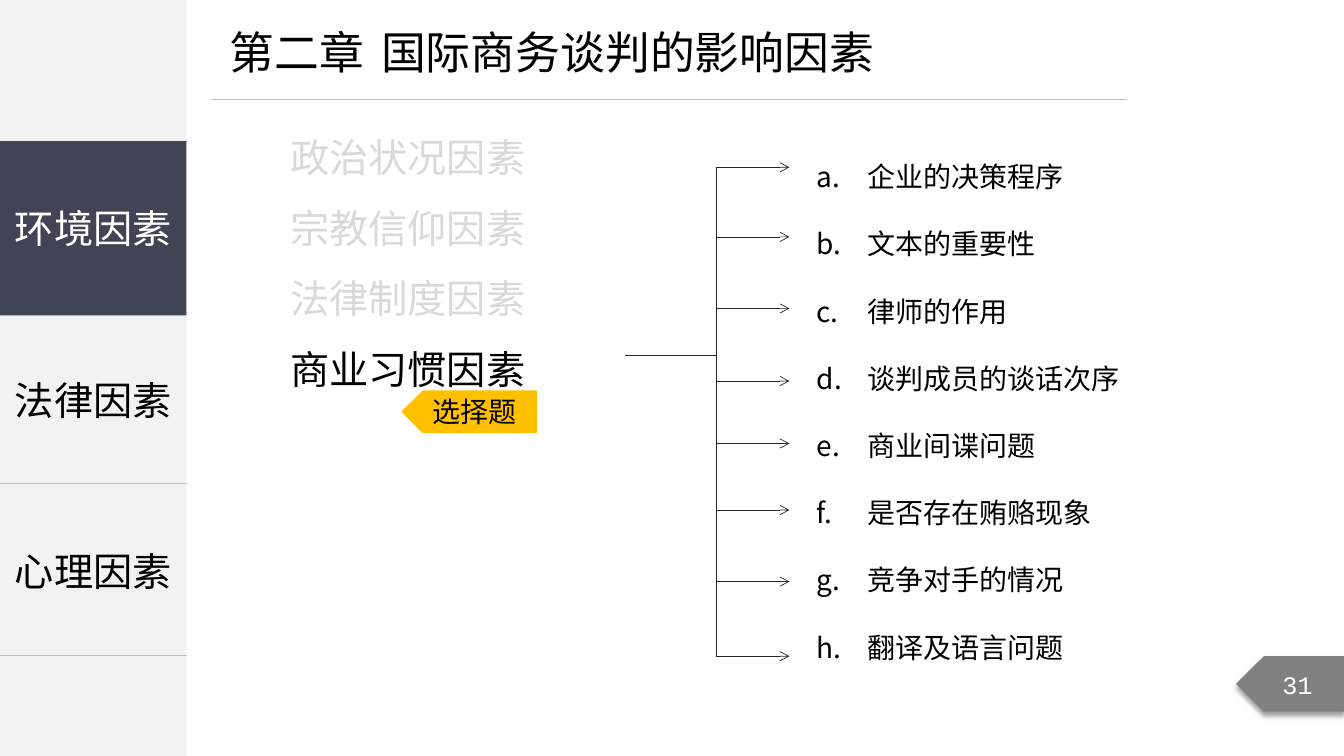
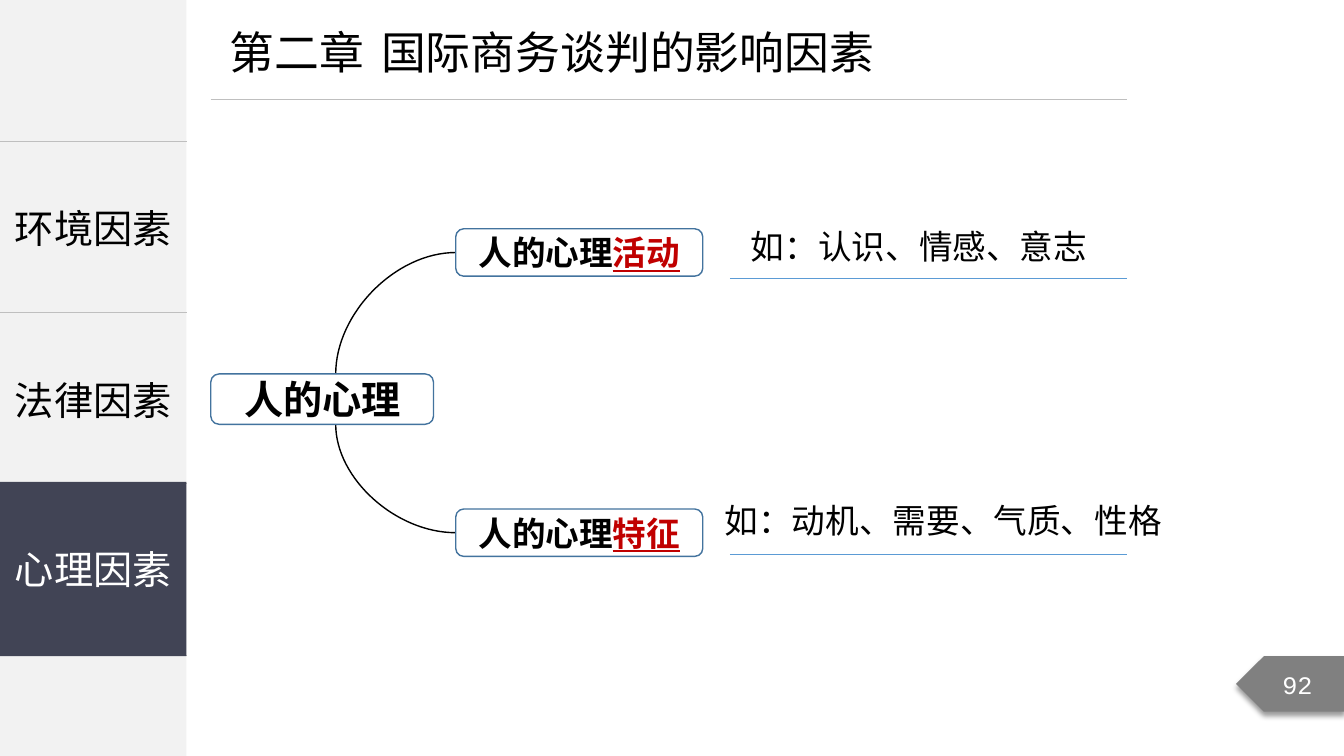
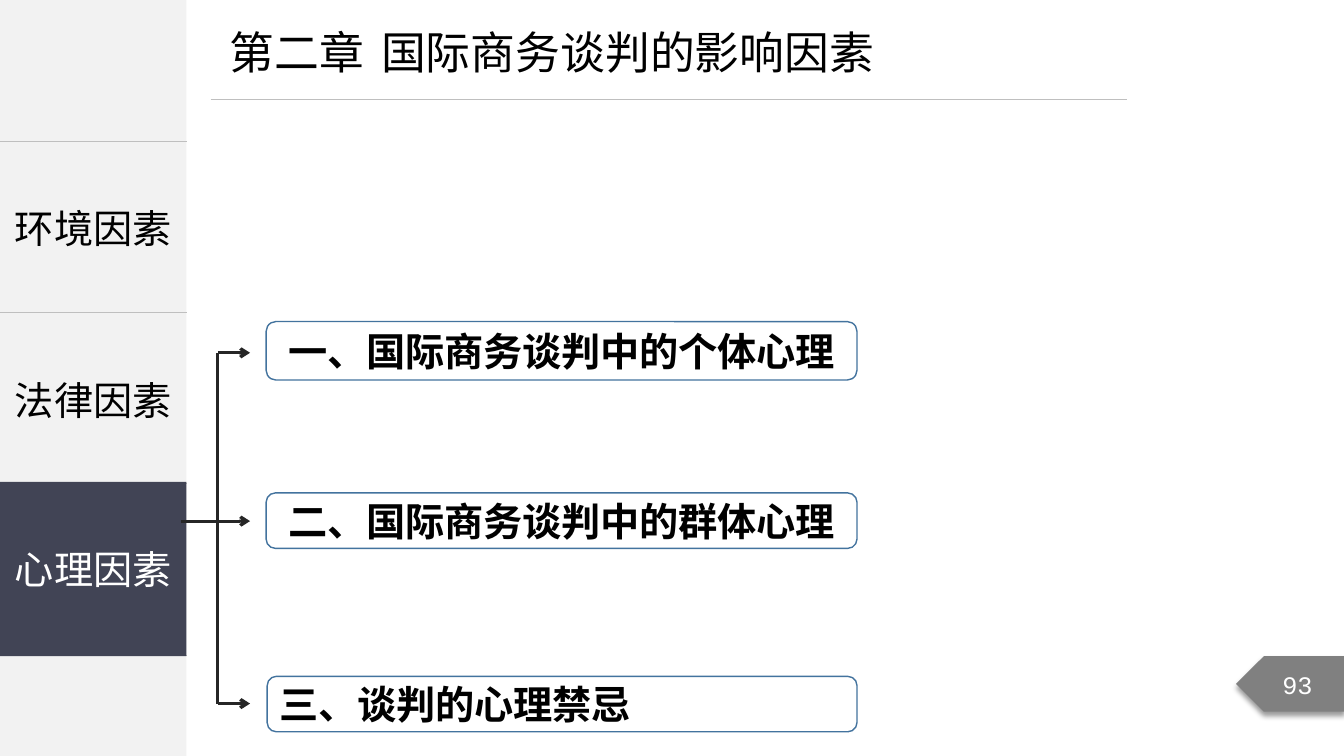
from lxml import etree
from pptx import Presentation
from pptx.dml.color import RGBColor
from pptx.enum.shapes import MSO_CONNECTOR, MSO_SHAPE
from pptx.enum.text import MSO_ANCHOR, MSO_AUTO_SIZE, PP_ALIGN
from pptx.oxml.ns import qn
from pptx.util import Inches, Pt

RECT, ROUND, PLATE = MSO_SHAPE.RECTANGLE, MSO_SHAPE.ROUNDED_RECTANGLE, MSO_SHAPE.PENTAGON
STRAIGHT, CURVE = MSO_CONNECTOR.STRAIGHT, MSO_CONNECTOR.CURVE
LEFT, CENTER = PP_ALIGN.LEFT, PP_ALIGN.CENTER
TOP, MIDDLE = MSO_ANCHOR.TOP, MSO_ANCHOR.MIDDLE

# Shared look
COLORS = {
    "black": "000000", "white": "FFFFFF", "sidebar": "F2F2F2", "active": "414455",
    "rule": "BFBFBF", "muted": "D9D9D9", "badge": "808080", "tag": "FFC000",
    "bracket": "262626", "box": "43739E", "underline": "5B9BD5", "red": "C00000",
}
FONT, NUMBER_FONT = "Noto Sans CJK SC", "Courier New"
SIDE_W, MENU_TOP, MENU_ROW, ACTIVE_STEP, ACTIVE_H = 1.85, 1.4, 1.7, 1.69, 1.73

# Content
CHAPTER = "第二章\t国际商务谈判的影响因素"
MENU = ["环境因素", "法律因素", "心理因素"]
FACTORS = ["政治状况因素", "宗教信仰因素", "法律制度因素", "商业习惯因素"]
TAG = "选择题"
HABITS = [  # arrow height, text
    (1.66, "企业的决策程序"), (2.35, "文本的重要性"), (3.06, "律师的作用"),
    (3.78, "谈判成员的谈话次序"), (4.4, "商业间谍问题"), (5.06, "是否存在贿赂现象"),
    (5.77, "竞争对手的情况"), (6.51, "翻译及语言问题"),
]
MIND = "人的心理"
MIND_BRANCHES = [  # box top, root edge, key word, example, example left, top, width, rule height
    (2.27, 3.71, "活动", "如：认识、情感、意志", 7.35, 2.19, 3.82, 2.76),
    (5.05, 4.21, "特征", "如：动机、需要、气质、性格", 7.09, 4.91, 4.66, 5.5),
]
SECTIONS = [  # left, top, height, arrow height, alignment, text
    (2.64, 3.19, 0.58, 3.5, CENTER, "一、国际商务谈判中的个体心理"),
    (2.64, 4.89, 0.55, 5.17, CENTER, "二、国际商务谈判中的群体心理"),
    (2.65, 6.71, 0.55, 6.98, LEFT, "三、谈判的心理禁忌"),
]
SECTION_RIGHT = 8.5


def rgb(name):
    return RGBColor.from_string(COLORS[name])


def sub(parent, tag, **attrs):
    return etree.SubElement(parent, qn(tag), {k: str(v) for k, v in attrs.items()})


def write(tf, paras, size=28, color="black", font=FONT, bold=None, spc=None,
          align=LEFT, anchor=TOP, spacing=None, number=None, tab=None):
    """Each paragraph is a list of (text, overrides) runs or a plain string."""
    tf.word_wrap = True
    tf.auto_size = MSO_AUTO_SIZE.NONE
    tf.vertical_anchor = anchor
    for i, runs in enumerate(paras):
        p = tf.paragraphs[0] if i == 0 else tf.add_paragraph()
        pPr = p._p.get_or_add_pPr()
        indent = Inches(0.5) if number else 0
        pPr.set("marL", str(indent))
        pPr.set("indent", str(-indent))
        if number:
            sub(pPr, "a:buAutoNum", type=number)
        else:
            sub(pPr, "a:buNone")
        if tab:
            sub(sub(pPr, "a:tabLst"), "a:tab", pos=Inches(tab), algn="l")
        p.alignment = align
        p.space_before = Pt(0)
        if spacing:
            p.line_spacing = spacing
        for text, extra in [(runs, {})] if isinstance(runs, str) else runs:
            r = p.add_run()
            r.text = text
            r.font.size = Pt(size)
            r.font.bold = bold
            r.font.name = font
            r.font.color.rgb = rgb(extra.get("color", color))
            r.font.underline = extra.get("underline")
            rPr = r._r.get_or_add_rPr()
            sub(rPr, "a:ea", typeface=font)
            if spc is not None:
                rPr.set("spc", str(spc))


def place(sp, x, y, w, h):
    sp.left, sp.top, sp.width, sp.height = map(Inches, (x, y, w, h))


def add_shape(s, kind, x, y, w, h, fill=None, line=None, paras=(), **fmt):
    sp = s.shapes.add_shape(kind, *map(Inches, (x, y, w, h)))
    sp.shadow.inherit = False
    if fill:
        sp.fill.solid()
        sp.fill.fore_color.rgb = rgb(fill)
    else:
        sp.fill.background()
    if line:
        sp.line.color.rgb = rgb(line)
        sp.line.width = Pt(1)
    else:
        sp.line.fill.background()
    if paras:
        write(sp.text_frame, paras, **{"align": CENTER, "anchor": MIDDLE, **fmt})
    return sp


def add_plate(s, *box, **fmt):
    """Pentagon arrow that points left."""
    sp = add_shape(s, PLATE, *box, **fmt)
    sp._element.spPr.find(qn("a:xfrm")).set("flipH", "1")
    return sp


def add_line(s, x1, y1, x2, y2, color="bracket", width=0.5, arrow=False, kind=STRAIGHT):
    cxn = s.shapes.add_connector(kind, *map(Inches, (x1, y1, x2, y2)))
    cxn.line.color.rgb = rgb(color)
    cxn.line.width = Pt(width)
    spPr = cxn._element.spPr
    if kind == CURVE:
        spPr.find(qn("a:prstGeom")).set("prst", "curvedConnector2")
    if arrow:
        sub(spPr.find(qn("a:ln")), "a:tailEnd", type="arrow")
    sub(spPr, "a:effectLst")


def add_textbox(s, x, y, w, h, paras, **fmt):
    write(s.shapes.add_textbox(*map(Inches, (x, y, w, h))).text_frame, paras, **fmt)


def add_box(s, x, y, w, h, paras, **fmt):
    add_shape(s, ROUND, x, y, w, h, line="box", paras=paras, bold=True, spc=-10, **fmt)


def add_menu(s, active, labels):
    """Sidebar table with a dark block over the active row."""
    add_shape(s, RECT, 0, 0, SIDE_W, 7.5, fill="sidebar")
    frame = s.shapes.add_table(len(labels), 1, 0, Inches(MENU_TOP), Inches(SIDE_W),
                               Inches(MENU_ROW * len(labels)))
    table = frame.table
    table.first_row = table.horz_banding = False
    for i, label in enumerate(labels):
        cell = table.cell(i, 0)
        tcPr = cell._tc.get_or_add_tcPr()
        for side in ("a:lnL", "a:lnR"):
            sub(sub(tcPr, side, w=0), "a:noFill")
        for side in ("a:lnT", "a:lnB"):
            ln = sub(tcPr, side, w=Pt(1))
            sub(sub(ln, "a:solidFill"), "a:srgbClr", val=COLORS["rule"])
        cell.fill.background()
        if label:
            write(cell.text_frame, [label], align=CENTER)
            cell.vertical_anchor = MIDDLE
    add_shape(s, RECT, 0, MENU_TOP + active * ACTIVE_STEP, SIDE_W, ACTIVE_H,
              fill="active", paras=[MENU[active]], color="white")


def new_slide(prs, layout, active, number, labels=MENU):
    """Slide with sidebar menu, chapter title, rule and page badge."""
    s = prs.slides.add_slide(prs.slide_layouts[layout])
    add_menu(s, active, labels)
    place(s.shapes.title, 2.18, 0.19, 6.93, 0.64)
    write(s.shapes.title.text_frame, [CHAPTER], size=32, tab=1.54)
    add_line(s, 2.09, 0.99, 11.18, 0.99, color="rule")
    badge = add_plate(s, 12.26, 6.51, 1.08, 0.55, fill="badge", paras=[str(number)],
                      size=18, color="white", font=NUMBER_FONT)
    effects = badge._element.spPr.find(qn("a:effectLst"))
    shadow = sub(effects, "a:outerShdw", blurRad=Pt(4), dist=Pt(3), dir=90 * 60000,
                 algn="t", rotWithShape=0)
    sub(sub(shadow, "a:srgbClr", val=COLORS["black"]), "a:alpha", val=40000)
    return s


def habits_slide(prs):
    s = new_slide(prs, 3, active=0, number=31, labels=[""] + MENU[1:])
    factors, habits = s.placeholders[1], s.placeholders[2]
    place(factors, 2.78, 1.04, 8.08, 3.64)
    *others, current = FACTORS
    write(factors.text_frame, others + [[(current, {"color": "black"})]],
          color="muted", spacing=1.5)
    place(habits, 8, 1.2, 3.93, 5.49)
    write(habits.text_frame, [text for _, text in HABITS], size=20, spacing=2.0,
          number="alphaLcPeriod")
    # Bracket
    spine = 7.1
    add_line(s, spine, HABITS[0][0], spine, HABITS[-1][0])
    add_line(s, 6.2, 3.53, spine, 3.53)
    for y, _ in HABITS:
        add_line(s, spine, y, 7.83, y, arrow=True)
    add_plate(s, 3.99, 3.88, 1.33, 0.41, fill="tag", line="tag", paras=[TAG], size=20)


def mind_slide(prs):
    s = new_slide(prs, 5, active=2, number=92)
    box_x, box_w, box_h = 4.52, 2.45, 0.47
    for top, root_y, key, example, x, y, w, rule_y in MIND_BRANCHES:
        add_line(s, box_x, top + box_h / 2, 3.33, root_y, color="black", width=1, kind=CURVE)
        add_box(s, box_x, top, box_w, box_h, size=24,
                paras=[[(MIND, {}), (key, {"color": "red", "underline": True})]])
        add_line(s, 7.24, rule_y, 11.18, rule_y, color="underline")
        add_textbox(s, x, y, w, 0.5, [example], size=24)
    add_box(s, 2.09, 3.71, 2.21, 0.5, [MIND])


def sections_slide(prs):
    s = new_slide(prs, 5, active=2, number=93)
    spine, middle = 2.16, SECTIONS[1][3]
    add_line(s, spine, SECTIONS[0][3], spine, SECTIONS[-1][3], width=2.25)
    add_line(s, 1.8, middle, spine, middle, width=2.25)
    for left, top, height, arrow_y, align, text in SECTIONS:
        add_line(s, spine, arrow_y, 2.48, arrow_y, width=2.25, arrow=True)
        add_box(s, left, top, SECTION_RIGHT - left, height, [text], align=align)


def main():
    prs = Presentation()
    prs.slide_width, prs.slide_height = Inches(13.33), Inches(7.5)
    habits_slide(prs)
    mind_slide(prs)
    sections_slide(prs)
    prs.save("out.pptx")


if __name__ == "__main__":
    main()
